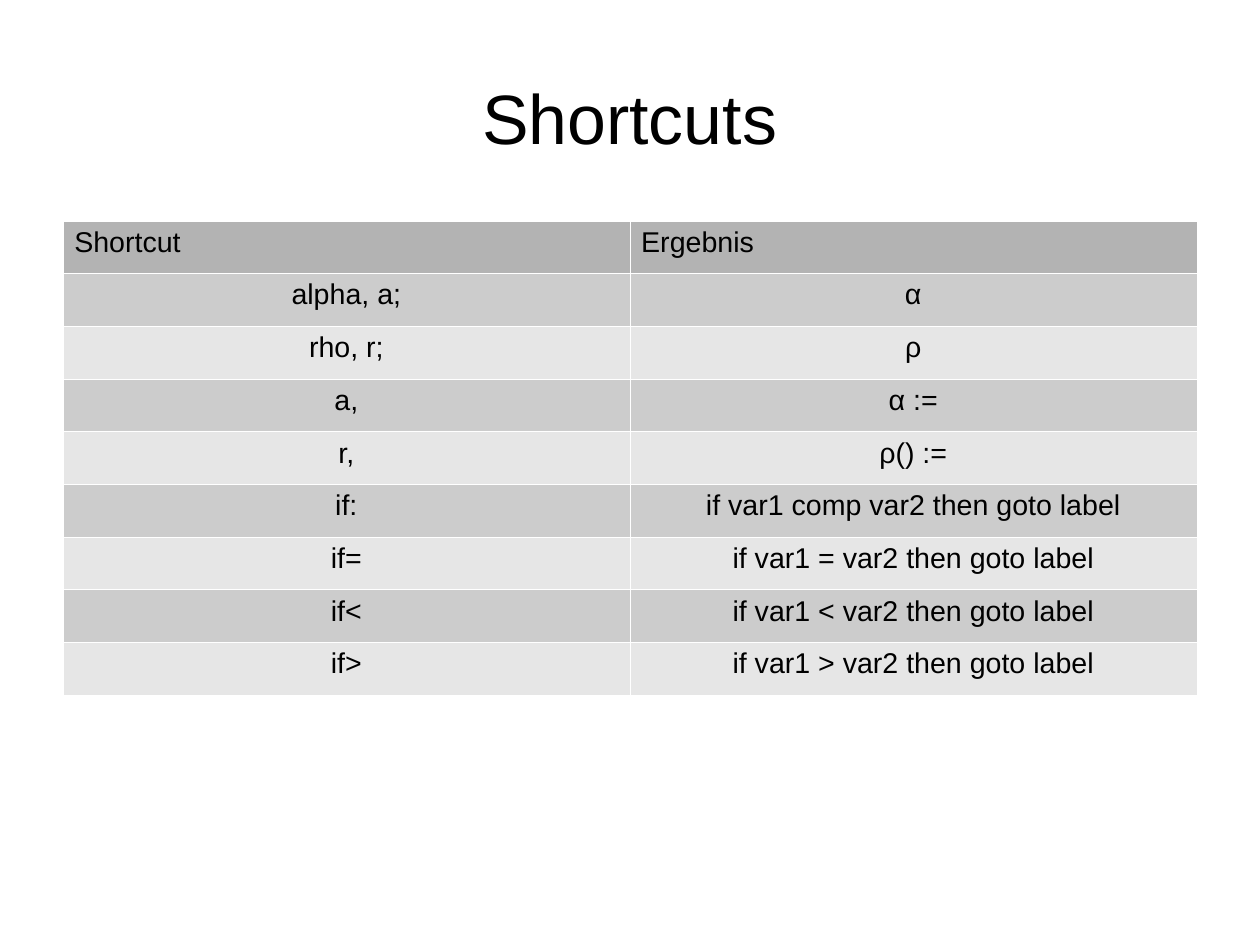
from dataclasses import dataclass

from lxml.etree import SubElement
from pptx import Presentation
from pptx.dml.color import RGBColor
from pptx.enum.text import MSO_ANCHOR, PP_ALIGN
from pptx.oxml.ns import qn
from pptx.util import Inches, Pt


@dataclass(frozen=True)
class Theme:
    font: str = "Arial"
    title_size: float = 44
    table_size: float = 18
    text: str = "000000"
    header: str = "B3B3B3"
    bands: tuple = ("CCCCCC", "E6E6E6")
    border: str = "FFFFFF"
    border_width: float = 0.06


THEME = Theme()
CM_PER_INCH = 2.54
PAGE_WIDTH, PAGE_HEIGHT = 28 / CM_PER_INCH, 21 / CM_PER_INCH
LEFT, CONTENT_WIDTH = 0.55, 9.92
TABLE_TOP, TABLE_HEIGHT = 1.93, 4.15

SHORTCUTS = [
    ("Shortcut", "Ergebnis"),
    ("alpha, a;", "α"),
    ("rho, r;", "ρ"),
    ("a,", "α :="),
    ("r,", "ρ() :="),
    ("if:", "if var1 comp var2 then goto label"),
    ("if=", "if var1 = var2 then goto label"),
    ("if<", "if var1 < var2 then goto label"),
    ("if>", "if var1 > var2 then goto label"),
]


def write_text(frame, text, *, size, align=PP_ALIGN.CENTER):
    paragraph = frame.paragraphs[0]
    paragraph.alignment = align
    run = paragraph.add_run()
    run.text = text
    run.font.name = THEME.font
    run.font.size = Pt(size)
    run.font.bold = False
    run.font.color.rgb = RGBColor.from_string(THEME.text)


def add_title(slide, text):
    title = slide.shapes.title
    title.left, title.top = Inches(LEFT), Inches(0.33)
    title.width, title.height = Inches(CONTENT_WIDTH), Inches(1.38)
    frame = title.text_frame
    frame.margin_left = frame.margin_right = Inches(0)
    frame.margin_top = frame.margin_bottom = Inches(0)
    frame.vertical_anchor = MSO_ANCHOR.MIDDLE
    frame.word_wrap = True
    write_text(frame, text, size=THEME.title_size)


def set_borders(cell):
    properties = cell._tc.get_or_add_tcPr()
    for side in ("a:lnL", "a:lnR", "a:lnT", "a:lnB"):
        line = SubElement(properties, qn(side), w=str(Pt(THEME.border_width)))
        fill = SubElement(line, qn("a:solidFill"))
        SubElement(fill, qn("a:srgbClr"), val=THEME.border)


def format_cell(cell, text, color, align):
    write_text(cell.text_frame, text, size=THEME.table_size, align=align)
    cell.margin_left = cell.margin_right = Inches(0.1)
    cell.margin_top = cell.margin_bottom = Inches(0.05)
    cell.vertical_anchor = MSO_ANCHOR.TOP
    set_borders(cell)
    cell.fill.solid()
    cell.fill.fore_color.rgb = RGBColor.from_string(color)


def add_banded_table(slide, rows):
    table = slide.shapes.add_table(
        len(rows), len(rows[0]), Inches(LEFT), Inches(TABLE_TOP),
        Inches(CONTENT_WIDTH), Inches(TABLE_HEIGHT)).table
    table.horz_banding = False
    for index, texts in enumerate(rows):
        is_header = index == 0
        color = THEME.header if is_header else THEME.bands[(index - 1) % 2]
        align = PP_ALIGN.LEFT if is_header else PP_ALIGN.CENTER
        for column, text in enumerate(texts):
            format_cell(table.cell(index, column), text, color, align)


def main():
    presentation = Presentation()
    presentation.slide_width = Inches(PAGE_WIDTH)
    presentation.slide_height = Inches(PAGE_HEIGHT)
    slide = presentation.slides.add_slide(presentation.slide_layouts[5])
    add_title(slide, "Shortcuts")
    add_banded_table(slide, SHORTCUTS)
    presentation.save("out.pptx")


if __name__ == "__main__":
    main()
